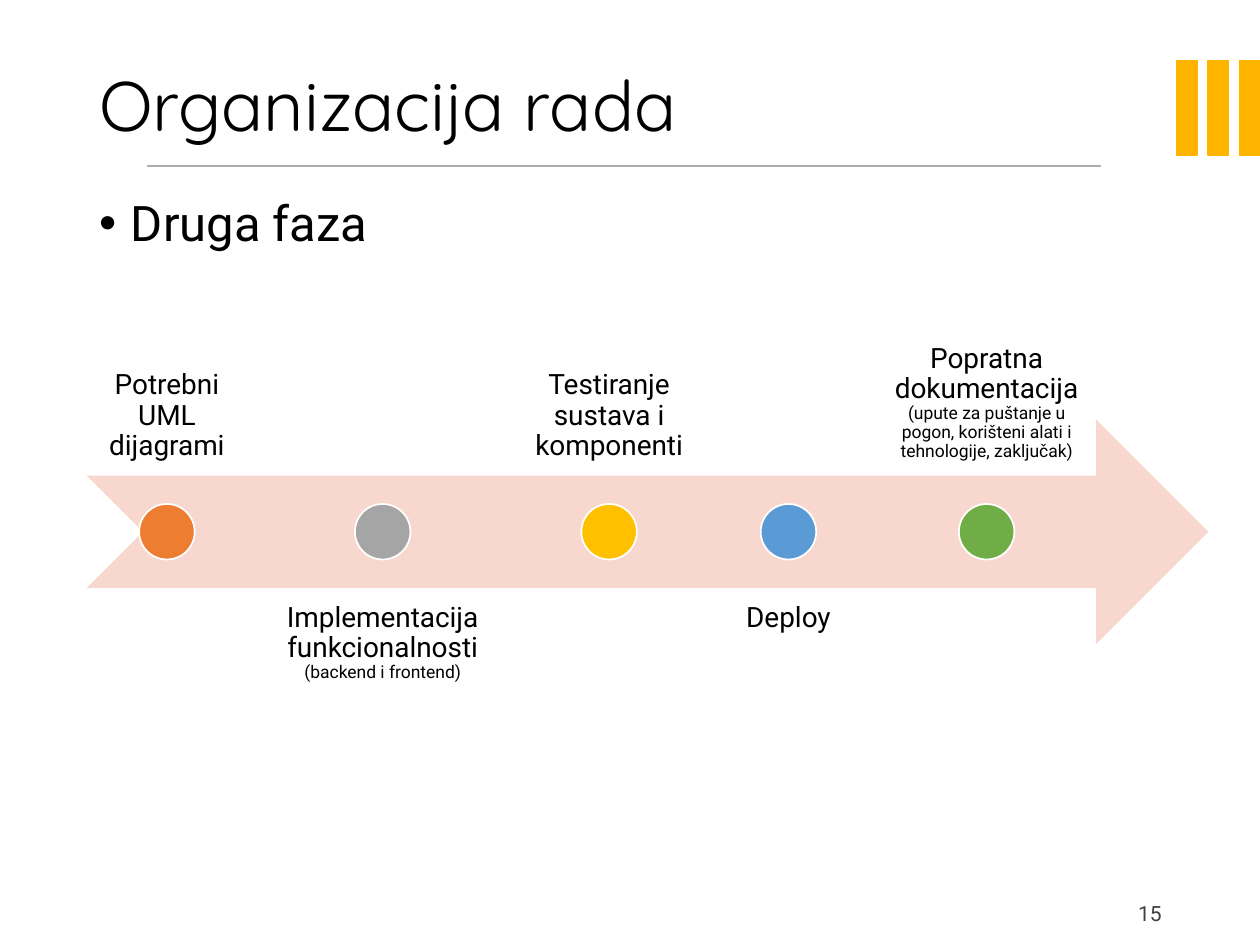
"""Build the project timeline slide for the second phase."""
from dataclasses import dataclass

from lxml import etree
from pptx import Presentation
from pptx import util as u
from pptx.dml.color import RGBColor
from pptx.enum import shapes, text
from pptx.oxml import ns

Cm = u.Cm


@dataclass(frozen=True)
class Theme:
    ink: str = "000000"
    bar: str = "FFB400"
    rule: str = "AFABAB"
    page: str = "404040"
    arrow: str = "F8D7CE"
    edge: str = "FFFFFF"
    head: str = "Quicksand"
    body: str = "Roboto"
    title: int = 40
    lead: int = 28
    label: int = 16
    note: int = 10
    num: int = 12


look = Theme()


def add_run(para, words, size, font=look.body, color=look.ink):
    run = para.add_run()
    run.text = words
    run.font.size = u.Pt(size)
    run.font.name = font
    run.font.color.rgb = RGBColor.from_string(color)


def add_form(kind, box, fill, line=None):
    form = slide.shapes.add_shape(kind, *map(Cm, box))
    form.shadow.inherit = False
    form.fill.solid()
    form.fill.fore_color.rgb = RGBColor.from_string(fill)
    if line:
        form.line.color.rgb = RGBColor.from_string(line)
        form.line.width = u.Pt(1)
    else:
        form.line.fill.background()


deck = Presentation()
deck.slide_width, deck.slide_height = Cm(25.4), Cm(19.05)
slide = deck.slides.add_slide(deck.slide_layouts[5])
kinds = shapes.MSO_SHAPE

for i in range(3):
    add_form(kinds.RECTANGLE, (23.72 + i * 0.635, 1.22, 0.41, 1.91), look.bar, look.bar)

rule = slide.shapes.add_connector(
    shapes.MSO_CONNECTOR.STRAIGHT, Cm(2.97), Cm(3.35), Cm(22.2), Cm(3.35))
rule.line.color.rgb = RGBColor.from_string(look.rule)
rule.line.width = u.Pt(1)
etree.SubElement(rule.element.spPr, ns.qn("a:effectLst"))

title = slide.shapes.title
title.left, title.top, title.width, title.height = map(Cm, (1.75, 1.02, 21.9, 2.34))
title.text_frame.vertical_anchor = text.MSO_ANCHOR.MIDDLE
para = title.text_frame.paragraphs[0]
para.alignment = text.PP_ALIGN.LEFT
para.line_spacing = 0.9
add_run(para, "Organizacija rada", look.title, look.head)

lead = slide.shapes.add_textbox(*map(Cm, (1.75, 3.89, 21.9, 13.69)))
lead.text_frame.word_wrap = True
para = lead.text_frame.paragraphs[0]
para.line_spacing = 0.9
para.space_before = u.Pt(10)
add_run(para, "Druga faza", look.lead)
props = para._p.get_or_add_pPr()
props.set("marL", str(Cm(0.64)))
props.set("indent", str(-Cm(0.64)))
etree.SubElement(props, ns.qn("a:buFont"), typeface="Arial")
etree.SubElement(props, ns.qn("a:buChar"), char="•")

page = slide.shapes.add_textbox(*map(Cm, (22.2, 18.03, 1.47, 1.02)))
page.text_frame.word_wrap = True
para = page.text_frame.paragraphs[0]
para.alignment = text.PP_ALIGN.RIGHT
add_run(para, "15", look.num, color=look.page)

add_form(kinds.NOTCHED_RIGHT_ARROW, (1.75, 8.46, 22.61, 4.52), look.arrow)

steps = [
    (3.23, "ED7D31", "Potrebni UML dijagrami", ""),
    (5.13, "A5A5A5", "Implementacija funkcionalnosti ", "(backend i frontend)"),
    (3.66, "FFC000", "Testiranje sustava i komponenti", ""),
    (3.23, "5B9BD5", "Deploy", ""),
    (4.42, "70AD47", "Popratna dokumentacija ",
     "(upute za puštanje u pogon, korišteni alati i tehnologije, zaključak)"),
]
left, gap, dot = 1.75, 0.17, 1.12
for i, (wide, color, name, note) in enumerate(steps):
    above = i % 2 == 0
    label = slide.shapes.add_textbox(
        *map(Cm, (left, 5.08 if above else 11.86, wide, 4.52)))
    frame = label.text_frame
    frame.word_wrap = True
    frame.margin_left = frame.margin_right = Cm(0.3)
    frame.margin_top = frame.margin_bottom = Cm(0.3)
    frame.vertical_anchor = text.MSO_ANCHOR.BOTTOM if above else text.MSO_ANCHOR.TOP
    para = frame.paragraphs[0]
    para.alignment = text.PP_ALIGN.CENTER
    para.line_spacing = 0.9
    add_run(para, name, look.label)
    if note:
        add_run(para, note, look.note)
    add_form(kinds.OVAL, (left + (wide - dot) / 2, 10.16, dot, dot), color, look.edge)
    left += wide + gap

deck.save("out.pptx")
